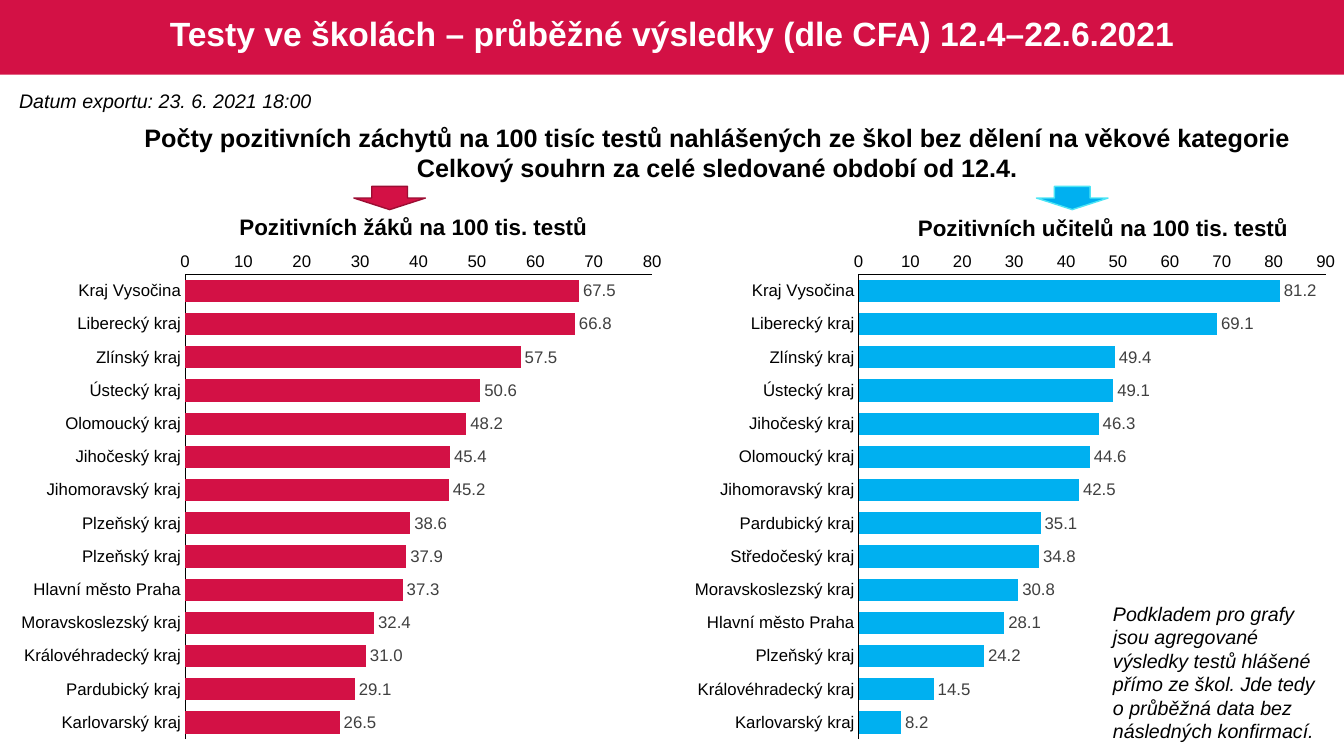
from dataclasses import dataclass

import lxml.etree
import pptx
import pptx.chart.data
import pptx.dml.color
import pptx.enum.chart
import pptx.enum.shapes
import pptx.enum.text
import pptx.oxml
import pptx.oxml.ns
import pptx.util
from pptx.util import Inches

ALIGN = pptx.enum.text.PP_ALIGN
ANCHOR = pptx.enum.text.MSO_ANCHOR
SHAPE = pptx.enum.shapes.MSO_SHAPE


@dataclass(frozen=True)
class Theme:
    font: str = "Arial"
    red: str = "D31145"
    dark_red: str = "9C0D33"
    blue: str = "00B0F0"
    light_blue: str = "4DE5F5"
    black: str = "000000"
    grey: str = "404040"
    white: str = "FFFFFF"
    title: int = 24
    heading: int = 18
    chart_heading: int = 16
    note: int = 14
    chart_text: int = 12


@dataclass(frozen=True)
class Box:
    left: float
    top: float
    width: float
    height: float

    def emu(self) -> tuple[int, ...]:
        return tuple(Inches(v) for v in (self.left, self.top, self.width, self.height))


@dataclass(frozen=True)
class Label:
    lines: tuple[str, ...]
    box: Box
    size: int
    bold: bool = False
    italic: bool = False
    centred: bool = False
    wrap: bool = False


@dataclass(frozen=True)
class RatePanel:
    heading: Label
    chart_left: float
    arrow_left: float
    fill: str
    outline: str
    axis_max: int
    rates: tuple[tuple[str, float], ...]


THEME = Theme()

PUPILS = RatePanel(
    Label(("Pozitivních žáků na 100 tis. testů",), Box(2.25, 2.07, 3.7, 0.37),
          THEME.chart_heading, bold=True, centred=True),
    0.09, 3.51, THEME.red, THEME.dark_red, 80,
    (("Kraj Vysočina", 67.5), ("Liberecký kraj", 66.8), ("Zlínský kraj", 57.5),
     ("Ústecký kraj", 50.6), ("Olomoucký kraj", 48.2), ("Jihočeský kraj", 45.4),
     ("Jihomoravský kraj", 45.2), ("Plzeňský kraj", 38.6), ("Plzeňský kraj", 37.9),
     ("Hlavní město Praha", 37.3), ("Moravskoslezský kraj", 32.4),
     ("Královéhradecký kraj", 31.0), ("Pardubický kraj", 29.1), ("Karlovarský kraj", 26.5)),
)
TEACHERS = RatePanel(
    Label(("Pozitivních učitelů na 100 tis. testů",), Box(8.98, 2.08, 3.92, 0.37),
          THEME.chart_heading, bold=True, centred=True),
    6.77, 10.28, THEME.blue, THEME.light_blue, 90,
    (("Kraj Vysočina", 81.2), ("Liberecký kraj", 69.1), ("Zlínský kraj", 49.4),
     ("Ústecký kraj", 49.1), ("Jihočeský kraj", 46.3), ("Olomoucký kraj", 44.6),
     ("Jihomoravský kraj", 42.5), ("Pardubický kraj", 35.1), ("Středočeský kraj", 34.8),
     ("Moravskoslezský kraj", 30.8), ("Hlavní město Praha", 28.1),
     ("Plzeňský kraj", 24.2), ("Královéhradecký kraj", 14.5), ("Karlovarský kraj", 8.2)),
)
LABELS = (
    Label(("Datum exportu: 23. 6. 2021 18:00",), Box(0.09, 0.83, 3.12, 0.34),
          THEME.note, italic=True),
    Label(("Počty pozitivních záchytů na 100 tisíc testů nahlášených ze škol bez dělení "
           "na věkové kategorie",
           "Celkový souhrn za celé sledované období od 12.4."),
          Box(1.28, 1.16, 11.67, 0.71), THEME.heading, bold=True, centred=True),
    Label(("Podkladem pro grafy jsou agregované výsledky testů hlášené přímo ze škol. "
           "Jde tedy o průběžná data bez následných konfirmací.",),
          Box(10.94, 5.92, 2.35, 1.51), THEME.note, italic=True, wrap=True),
)


def rgb(colour: str) -> pptx.dml.color.RGBColor:
    return pptx.dml.color.RGBColor.from_string(colour)


def style_font(font, size: int, colour: str, bold: bool = False, italic: bool = False) -> None:
    font.name, font.size = THEME.font, pptx.util.Pt(size)
    font.bold, font.italic = bold, italic
    font.color.rgb = rgb(colour)


def add_shape(slide, kind, box: Box, fill: str, outline: str | None = None):
    shape = slide.shapes.add_shape(kind, *box.emu())
    shape.shadow.inherit = False
    shape.fill.solid()
    shape.fill.fore_color.rgb = rgb(fill)
    if outline:
        shape.line.color.rgb = rgb(outline)
        shape.line.width = pptx.util.Pt(1)
    else:
        shape.line.fill.background()
    return shape


def add_title(slide, text: str) -> None:
    title = slide.shapes.title
    title.left, title.top, title.width, title.height = Box(0.18, 0.04, 12.97, 0.63).emu()
    title.text_frame.vertical_anchor = ANCHOR.MIDDLE
    paragraph = title.text_frame.paragraphs[0]
    paragraph.alignment, paragraph.line_spacing = ALIGN.CENTER, 0.9
    run = paragraph.add_run()
    run.text = text
    style_font(run.font, THEME.title, THEME.white, bold=True)


def add_label(slide, label: Label) -> None:
    frame = slide.shapes.add_textbox(*label.box.emu()).text_frame
    frame.word_wrap = label.wrap
    for index, line in enumerate(label.lines):
        paragraph = frame.add_paragraph() if index else frame.paragraphs[0]
        paragraph.alignment = ALIGN.CENTER if label.centred else ALIGN.LEFT
        run = paragraph.add_run()
        run.text = line
        style_font(run.font, label.size, THEME.black, label.bold, label.italic)


def fix_plot_area(chart) -> None:
    """Give both charts the same inner plot area, as fractions of the chart."""
    plot_area = chart.plots[0]._element.getparent()
    for old in plot_area.findall(pptx.oxml.ns.qn("c:layout")):
        plot_area.remove(old)
    layout = lxml.etree.Element(pptx.oxml.ns.qn("c:layout"))
    manual = lxml.etree.SubElement(layout, pptx.oxml.ns.qn("c:manualLayout"))
    settings = {"layoutTarget": "inner", "xMode": "edge", "yMode": "edge",
                "x": "0.264", "y": "0.062", "w": "0.701", "h": "0.917"}
    for tag, value in settings.items():
        lxml.etree.SubElement(manual, pptx.oxml.ns.qn(f"c:{tag}")).set("val", value)
    plot_area.insert(0, layout)


def add_rate_chart(slide, panel: RatePanel) -> None:
    data = pptx.chart.data.CategoryChartData(number_format="0.0")
    data.categories = [region for region, _ in panel.rates]
    data.add_series("Series 1", [rate for _, rate in panel.rates])
    chart = slide.shapes.add_chart(
        pptx.enum.chart.XL_CHART_TYPE.BAR_CLUSTERED,
        *Box(panel.chart_left, 2.41, 6.61, 5.03).emu(), data).chart
    chart.has_legend = chart.has_title = False
    style_font(chart.font, THEME.chart_text, THEME.black)

    # Axes
    for axis in (chart.category_axis, chart.value_axis):
        axis.has_major_gridlines = False
        axis.major_tick_mark = axis.minor_tick_mark = pptx.enum.chart.XL_TICK_MARK.NONE
        axis.format.line.color.rgb = rgb(THEME.black)
        axis.format.line.width = pptx.util.Pt(0.75)
        style_font(axis.tick_labels.font, THEME.chart_text, THEME.black)
    chart.category_axis.reverse_order = True
    values = chart.value_axis
    values.minimum_scale, values.maximum_scale, values.major_unit = 0, panel.axis_max, 10
    values.tick_labels.number_format = "0"
    values.tick_labels.number_format_is_linked = False

    # Bars and their values
    plot = chart.plots[0]
    plot.gap_width, plot.vary_by_categories = 50, False
    bars = plot.series[0]
    bars.format.fill.solid()
    bars.format.fill.fore_color.rgb = rgb(panel.fill)
    labels = bars.data_labels
    labels.show_value = True
    labels.position = pptx.enum.chart.XL_LABEL_POSITION.OUTSIDE_END
    labels.number_format, labels.number_format_is_linked = "#,##0.0", False
    style_font(labels.font, THEME.chart_text, THEME.grey)
    fix_plot_area(chart)


def main() -> None:
    deck = pptx.Presentation()
    deck.slide_width, deck.slide_height = Inches(13.33), Inches(7.5)
    slide = deck.slides.add_slide(deck.slide_layouts.get_by_name("Title Only"))

    # Title on a band that lies behind it
    band = add_shape(slide, SHAPE.RECTANGLE, Box(0, 0, 13.33, 0.74), THEME.red)
    slide.shapes.title._element.addprevious(band._element)
    add_title(slide, "Testy ve školách – průběžné výsledky (dle CFA) 12.4–22.6.2021")

    # Pupils and teachers
    for panel in (PUPILS, TEACHERS):
        add_rate_chart(slide, panel)
        add_label(slide, panel.heading)
        add_shape(slide, SHAPE.DOWN_ARROW, Box(panel.arrow_left, 1.85, 0.71, 0.23),
                  panel.fill, panel.outline)

    # Export date, heading and note on the data
    for label in LABELS:
        add_label(slide, label)

    deck.save("out.pptx")


if __name__ == "__main__":
    main()
